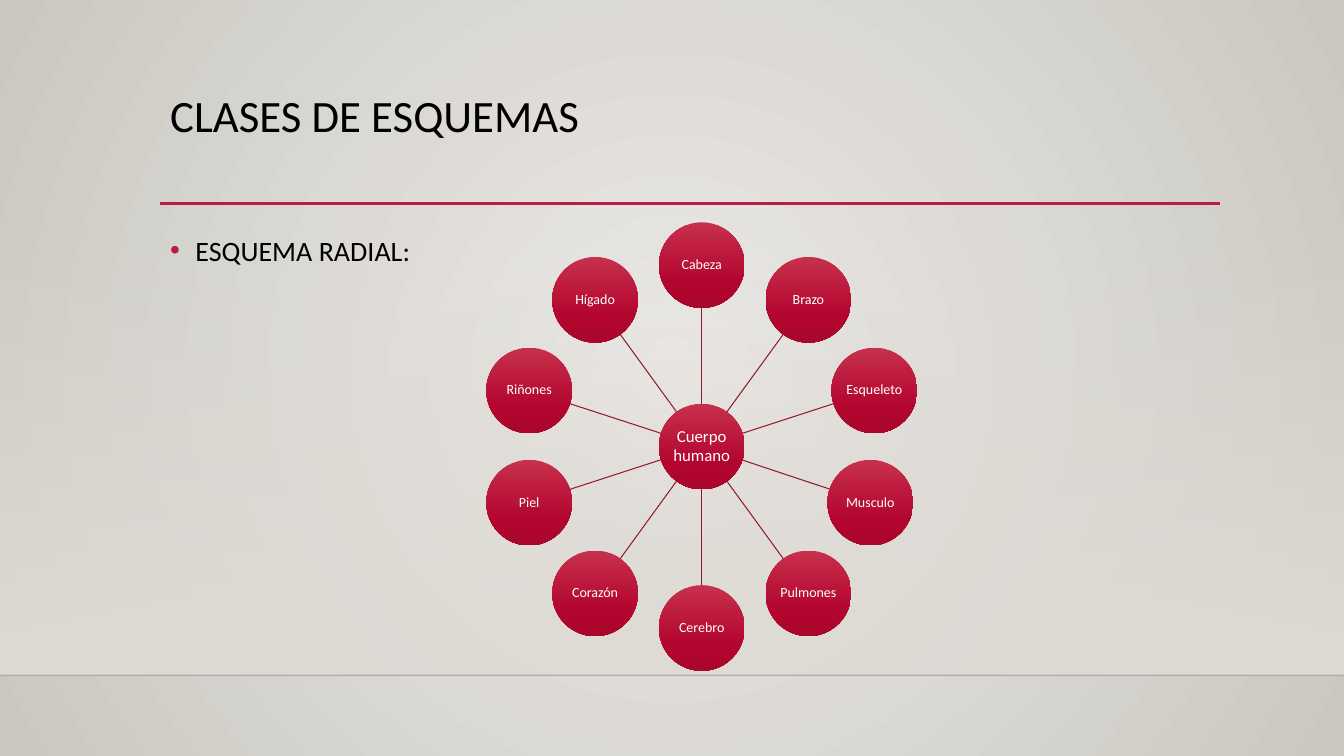
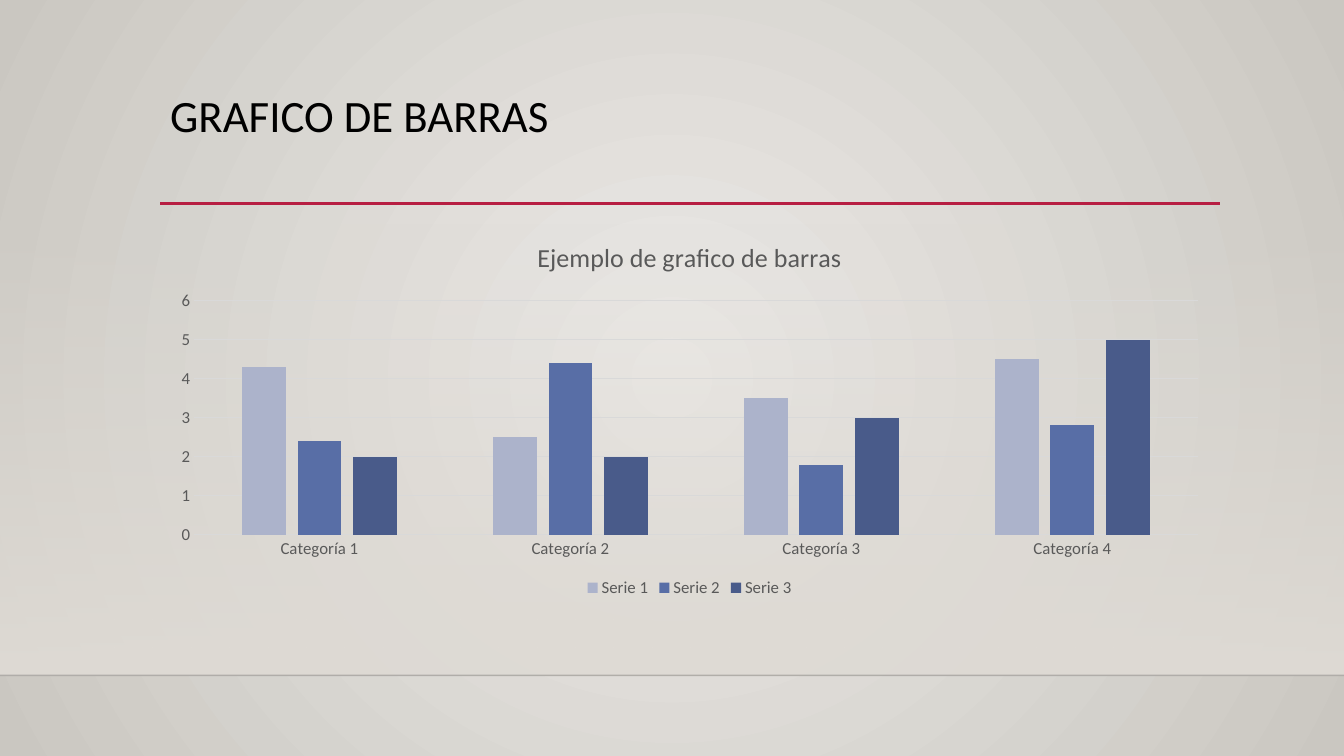
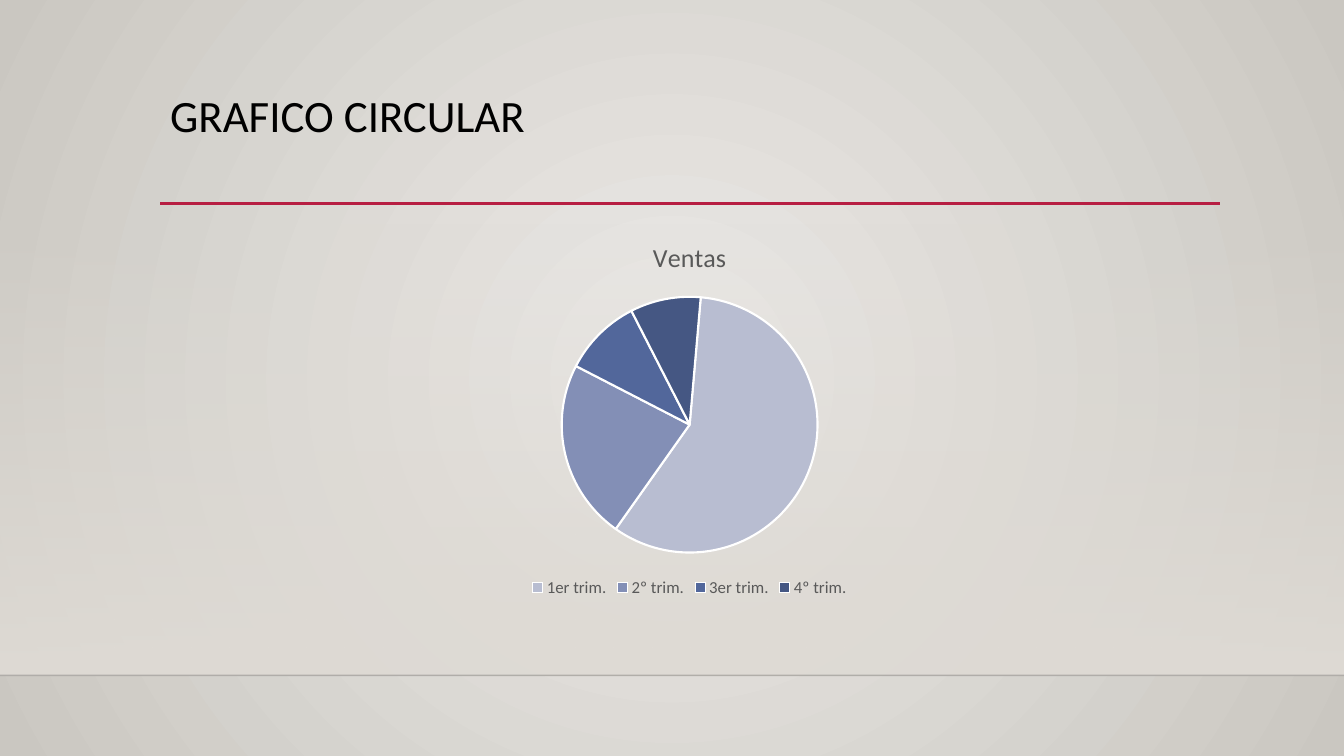
import math
from dataclasses import dataclass

import lxml.etree
import pptx
import pptx.chart.data
import pptx.dml.color
import pptx.enum.chart
import pptx.enum.shapes
import pptx.enum.text
import pptx.oxml
import pptx.oxml.ns
import pptx.util

Inches = pptx.util.Inches
Pt = pptx.util.Pt
RGB = pptx.dml.color.RGBColor
Kind = pptx.enum.chart.XL_CHART_TYPE
qn = pptx.oxml.ns.qn

FONT = "Calibri"
BLACK = RGB(0x00, 0x00, 0x00)
WHITE = RGB(0xFF, 0xFF, 0xFF)
GREY = RGB(0x59, 0x59, 0x59)
GRID = RGB(0xD9, 0xD9, 0xD9)
EDGE = RGB(0x00, 0x00, 0x01)
RED = RGB(0xB7, 0x1E, 0x42)
SPOKE = RGB(0x93, 0x18, 0x35)
SAND = RGB(0xDF, 0xDB, 0xD5)
PALE = RGB(0xEC, 0xEA, 0xE7)
DUSK = RGB(0xCA, 0xC7, 0xC1)
BARS = [RGB(0xAC, 0xB3, 0xCB), RGB(0x58, 0x6E, 0xA6), RGB(0x49, 0x5B, 0x8A)]
SLICES = [RGB(0xB8, 0xBD, 0xD1), RGB(0x83, 0x8F, 0xB6),
          RGB(0x52, 0x67, 0x9B), RGB(0x45, 0x57, 0x83)]

WIDE, HIGH = 13.33, 7.5
LEFT, SPAN = 1.59, 10.5
TOP, DEEP = 2.2, 3.77
FLOOR = 6.7
HUB_X, HUB_Y = 6.96, 4.43
ORBIT, BALL = 1.8, 0.85


@dataclass
class Stop:
    place: int
    color: RGB
    alpha: int = 100


@dataclass
class Organ:
    name: str
    shift: float = 0


DOWN = '<a:lin ang="5400000" scaled="0"/>'
ROUND = '<a:path path="circle"><a:fillToRect l="50000" t="50000" r="50000" b="50000"/></a:path>'
GLOW = [Stop(0, PALE), Stop(100, DUSK)]
HAZE = [Stop(0, SAND, 0), Stop(100, SAND)]
GLOSS = [Stop(0, RGB(0xC7, 0x30, 0x4C)), Stop(69, RGB(0xB3, 0x06, 0x2F)),
         Stop(100, RGB(0xAA, 0x06, 0x2C))]
ORGANS = [Organ("Cabeza"), Organ("Brazo"), Organ("Esqueleto"), Organ("Musculo", -0.04),
          Organ("Pulmones"), Organ("Cerebro"), Organ("Corazón"), Organ("Piel"),
          Organ("Riñones"), Organ("Hígado")]


def blend(host, fill, stops: list[Stop], course: str) -> None:
    """Give the first fill inside host a gradient with these stops."""
    fill.gradient()
    old = host.element.find(".//" + qn("a:gradFill"))
    marks = "".join(
        f'<a:gs pos="{s.place * 1000}"><a:srgbClr val="{s.color}">'
        f'<a:alpha val="{s.alpha * 1000}"/></a:srgbClr></a:gs>' for s in stops)
    new = pptx.oxml.parse_xml(
        f'<a:gradFill {pptx.oxml.ns.nsdecls("a")} rotWithShape="1">'
        f"<a:gsLst>{marks}</a:gsLst>{course}</a:gradFill>")
    old.getparent().replace(old, new)


def style(font, size: float, color: RGB) -> None:
    font.name, font.size, font.bold = FONT, Pt(size), False
    font.color.rgb = color


def rule(slide, x1: float, y1: float, x2: float, y2: float,
         color: RGB, width: float, alpha: int = 100) -> None:
    """Draw a straight line without shadow."""
    line = slide.shapes.add_connector(
        pptx.enum.shapes.MSO_CONNECTOR.STRAIGHT,
        Inches(x1), Inches(y1), Inches(x2), Inches(y2))
    line.line.color.rgb = color
    line.line.width = Pt(width)
    props = line.element.spPr
    if alpha < 100:
        tint = props.find(".//" + qn("a:srgbClr"))
        lxml.etree.SubElement(tint, qn("a:alpha")).set("val", str(alpha * 1000))
    lxml.etree.SubElement(props, qn("a:effectLst"))


def write(slide, text: str, top: float, high: float, size: float, lead: float):
    """Add a text box of full width and return its paragraph."""
    box = slide.shapes.add_textbox(Inches(LEFT), Inches(top), Inches(SPAN), Inches(high))
    box.text_frame.word_wrap = True
    para = box.text_frame.paragraphs[0]
    para.text = text
    para.line_spacing = lead
    style(para.runs[0].font, size, BLACK)
    return para


def start(deck, title: str):
    """Add a slide with the shared band, rules and title."""
    slide = deck.slides.add_slide(deck.slide_layouts[6])
    band = slide.shapes.add_shape(
        pptx.enum.shapes.MSO_SHAPE.RECTANGLE,
        Inches(0), Inches(2.21), Inches(WIDE), Inches(FLOOR - 2.21))
    band.shadow.inherit = False
    band.line.fill.background()
    blend(band, band.fill, HAZE, DOWN)
    rule(slide, 0, FLOOR, WIDE, FLOOR, EDGE, 1, 20)
    rule(slide, LEFT, 2.02, 12.1, 2.02, RED, 2.5)
    write(slide, title, 0.88, 1.15, 32, 0.9)
    return slide


def bullet(para) -> None:
    props = para._p.get_or_add_pPr()
    props.set("marL", str(Inches(0.25)))
    props.set("indent", str(Inches(-0.25)))
    tint = lxml.etree.SubElement(props, qn("a:buClr"))
    lxml.etree.SubElement(tint, qn("a:srgbClr")).set("val", str(RED))
    lxml.etree.SubElement(props, qn("a:buFont")).set("typeface", "Arial")
    lxml.etree.SubElement(props, qn("a:buChar")).set("char", "•")


def ball(slide, x: float, y: float, text: str, size: float) -> None:
    """Draw a labelled circle centred on x, y."""
    disc = slide.shapes.add_shape(
        pptx.enum.shapes.MSO_SHAPE.OVAL,
        Inches(x - BALL / 2), Inches(y - BALL / 2), Inches(BALL), Inches(BALL))
    disc.shadow.inherit = False
    disc.line.fill.background()
    blend(disc, disc.fill, GLOSS, DOWN)
    frame = disc.text_frame
    frame.margin_left = frame.margin_right = Inches(0.01)
    frame.margin_top = frame.margin_bottom = Inches(0.01)
    frame.vertical_anchor = pptx.enum.text.MSO_ANCHOR.MIDDLE
    frame.word_wrap = True
    frame.text = text
    para = frame.paragraphs[0]
    para.alignment = pptx.enum.text.PP_ALIGN.CENTER
    para.line_spacing = 0.9
    style(para.runs[0].font, size, WHITE)


def wheel(slide) -> None:
    """Draw the hub with the organs evenly spaced around it."""
    ball(slide, HUB_X, HUB_Y, "Cuerpo humano", 12)
    for i, organ in enumerate(ORGANS):
        turn = math.tau * i / len(ORGANS)
        dx = ORBIT * math.sin(turn) + organ.shift
        dy = -ORBIT * math.cos(turn)
        near = BALL / 2 / math.hypot(dx, dy)
        far = 1 - near
        rule(slide, HUB_X + dx * near, HUB_Y + dy * near,
             HUB_X + dx * far, HUB_Y + dy * far, SPOKE, 0.75)
        ball(slide, HUB_X + dx, HUB_Y + dy, organ.name, 10)


def plot(slide, kind: Kind, title: str, cats: list[str], rows: dict[str, list[float]]):
    """Add a chart with the shared title and legend style."""
    data = pptx.chart.data.CategoryChartData()
    data.categories = cats
    for name, vals in rows.items():
        data.add_series(name, vals)
    chart = slide.shapes.add_chart(
        kind, Inches(LEFT), Inches(TOP), Inches(SPAN), Inches(DEEP), data).chart
    style(chart.font, 10, BLACK)
    chart.has_title = True
    chart.chart_title.text_frame.text = title
    style(chart.chart_title.text_frame.paragraphs[0].runs[0].font, 18.6, GREY)
    chart.chart_title.include_in_layout = False
    chart.has_legend = True
    chart.legend.position = pptx.enum.chart.XL_LEGEND_POSITION.BOTTOM
    chart.legend.include_in_layout = False
    style(chart.legend.font, 12, GREY)
    return chart


def bars(slide) -> None:
    chart = plot(slide, Kind.COLUMN_CLUSTERED, "Ejemplo de grafico de barras",
                 [f"Categoría {n}" for n in range(1, 5)],
                 {"Serie 1": [4.3, 2.5, 3.5, 4.5],
                  "Serie 2": [2.4, 4.4, 1.8, 2.8],
                  "Serie 3": [2, 2, 3, 5]})
    group = chart.plots[0]
    group.vary_by_categories = False
    group.gap_width, group.overlap = 219, -27
    for row, color in zip(group.series, BARS):
        row.format.fill.solid()
        row.format.fill.fore_color.rgb = color
    base, scale = chart.category_axis, chart.value_axis
    for axis in (base, scale):
        axis.major_tick_mark = pptx.enum.chart.XL_TICK_MARK.NONE
        axis.minor_tick_mark = pptx.enum.chart.XL_TICK_MARK.NONE
        style(axis.tick_labels.font, 12, GREY)
    scale.minimum_scale, scale.maximum_scale, scale.major_unit = 0, 6, 1
    scale.format.line.fill.background()
    for line in (base.format.line, scale.major_gridlines.format.line):
        line.color.rgb = GRID
        line.width = Pt(0.75)


def pie(slide) -> None:
    chart = plot(slide, Kind.PIE, "Ventas",
                 ["1er trim.", "2º trim.", "3er trim.", "4º trim."],
                 {"Ventas": [59, 23, 10, 9]})
    group = chart.plots[0]
    group.vary_by_categories = True
    for i, color in enumerate(SLICES):
        look = group.series[0].points[i].format
        look.fill.solid()
        look.fill.fore_color.rgb = color
        look.line.color.rgb = WHITE
        look.line.width = Pt(1.5)
    ring = chart.element.find(".//" + qn("c:pieChart"))
    for old in ring.findall(qn("c:firstSliceAng")):
        ring.remove(old)
    lxml.etree.SubElement(ring, qn("c:firstSliceAng")).set("val", "5")


def main() -> None:
    deck = pptx.Presentation()
    deck.slide_width, deck.slide_height = Inches(WIDE), Inches(HIGH)
    master = deck.slide_master
    blend(master, master.background.fill, GLOW, ROUND)

    slide = start(deck, "CLASES DE ESQUEMAS")
    para = write(slide, "ESQUEMA RADIAL:", TOP, DEEP, 20, 1.2)
    para.space_before = Pt(10)
    bullet(para)
    wheel(slide)

    bars(start(deck, "GRAFICO DE BARRAS"))
    pie(start(deck, "GRAFICO CIRCULAR"))
    deck.save("out.pptx")


if __name__ == "__main__":
    main()
